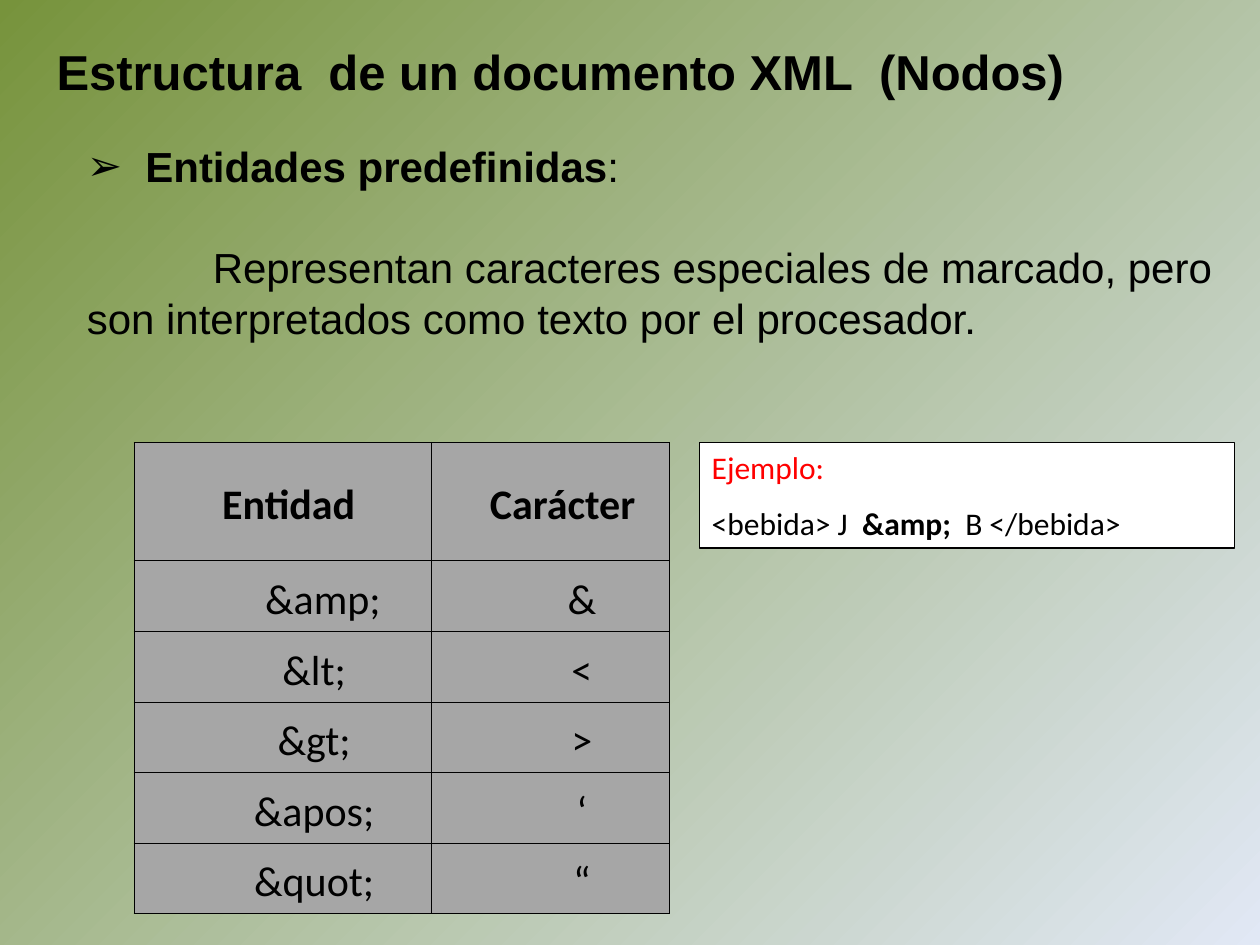
from lxml import etree
from pptx import Presentation
from pptx.dml.color import RGBColor
from pptx.enum.shapes import MSO_SHAPE
from pptx.enum.text import MSO_ANCHOR, PP_ALIGN
from pptx.oxml.ns import qn
from pptx.util import Pt

RECTANGLE = MSO_SHAPE.RECTANGLE
TOP, MIDDLE = MSO_ANCHOR.TOP, MSO_ANCHOR.MIDDLE
LEFT, CENTER = PP_ALIGN.LEFT, PP_ALIGN.CENTER

COLORS = {"green": "77933C", "pale": "E1E8F5", "gray": "A6A6A6",
          "white": "FFFFFF", "black": "000000", "red": "FF0000"}
FORMATS = {
    "title": {"name": "Arial", "size": Pt(28), "bold": True},
    "heading": {"name": "Arial", "size": Pt(24), "bold": True},
    "body": {"name": "Arial", "size": Pt(24), "bold": False},
    "header": {"name": "Calibri", "size": Pt(24), "bold": True},
    "cell": {"name": "Calibri", "size": Pt(24), "bold": False},
    "code": {"name": "Calibri", "size": Pt(18), "bold": False},
    "entity": {"name": "Calibri", "size": Pt(18), "bold": True},
}


def rgb(name):
    return RGBColor.from_string(COLORS[name])


def add_span(para, text, style, color="black"):
    span = para.add_run()
    span.text = text
    for attribute, value in FORMATS[style].items():
        setattr(span.font, attribute, value)
    span.font.color.rgb = rgb(color)


deck = Presentation()
deck.slide_width, deck.slide_height = Pt(720), Pt(540)
page = deck.slides.add_slide(deck.slide_layouts[6])

background = page.background.fill
background.gradient()
background.gradient_angle = 315
for stop, color in zip(background.gradient_stops, ("green", "pale")):
    stop.color.rgb = rgb(color)

title = page.shapes.add_textbox(Pt(25.2), Pt(20.2), Pt(608.4), Pt(41)).text_frame
title.word_wrap = True
add_span(title.paragraphs[0], "Estructura  de un documento XML  (Nodos)", "title")

body = page.shapes.add_textbox(Pt(42.5), Pt(77), Pt(677.5), Pt(151.2)).text_frame
body.word_wrap = True
heading = body.paragraphs[0]
properties = heading._p.get_or_add_pPr()
properties.set("marL", str(Pt(33.5)))
properties.set("indent", str(-Pt(33.5)))
etree.SubElement(properties, qn("a:buFont"), typeface="Arial")
etree.SubElement(properties, qn("a:buChar"), char="➢")
add_span(heading, "Entidades predefinidas", "heading")
add_span(heading, ":", "body")

description = body.add_paragraph()
description._p.get_or_add_pPr().set("indent", str(Pt(72)))
description.space_before = Pt(28.8)
add_span(description, "Representan caracteres especiales de marcado, pero "
         "son interpretados como texto por el procesador.", "body")
for para in body.paragraphs:
    para.line_spacing = Pt(28.8)

ROWS = [("Entidad", "Carácter"), ("&amp;", "&"), ("&lt;", "<"),
        ("&gt;", ">"), ("&apos;", "‘"), ("&quot;", "“")]
INDENTS = [(7, 14), (46, 36)] + [(36, 36)] * 4
CELL_FORMAT = {"vertical_anchor": MIDDLE, "margin_left": Pt(5), "margin_right": Pt(5),
               "margin_top": Pt(3.6), "margin_bottom": Pt(3.6)}

table = page.shapes.add_table(len(ROWS), 2, Pt(76.5), Pt(252.7), Pt(306), Pt(234.7)).table
table.first_row = table.horz_banding = False
for column, width in zip(table.columns, (170, 136)):
    column.width = Pt(width)
for row, height in zip(table.rows, [67.7] + [33.4] * 5):
    row.height = Pt(height)

for row_index, (texts, indents) in enumerate(zip(ROWS, INDENTS)):
    for column_index, (text, indent) in enumerate(zip(texts, indents)):
        cell = table.cell(row_index, column_index)
        for attribute, value in CELL_FORMAT.items():
            setattr(cell, attribute, value)
        cell.fill.solid()
        cell.fill.fore_color.rgb = rgb("gray")
        para = cell.text_frame.paragraphs[0]
        para.alignment = CENTER
        para.line_spacing = 1.15
        para._p.get_or_add_pPr().set("marL", str(Pt(indent)))
        add_span(para, text, "cell" if row_index else "header")
        for position, side in enumerate(("a:lnL", "a:lnR", "a:lnT", "a:lnB")):
            border = etree.Element(qn(side), w=str(Pt(0.45)))
            paint = etree.SubElement(border, qn("a:solidFill"))
            etree.SubElement(paint, qn("a:srgbClr"), val=COLORS["black"])
            cell._tc.get_or_add_tcPr().insert(position, border)

example = page.shapes.add_shape(RECTANGLE, Pt(399.6), Pt(252.7), Pt(306), Pt(60.5))
example.shadow.inherit = False
example.fill.solid()
example.fill.fore_color.rgb = rgb("white")
example.line.color.rgb = rgb("black")
example.line.width = Pt(0.75)
frame = example.text_frame
frame.word_wrap = True
frame.vertical_anchor = TOP
label, code = frame.paragraphs[0], frame.add_paragraph()
label.alignment = code.alignment = LEFT
label.space_after = Pt(10)
add_span(label, "Ejemplo:", "code", "red")
for text, style in (("<bebida> J  ", "code"), ("&amp;", "entity"), ("  B </bebida>", "code")):
    add_span(code, text, style)

deck.save("out.pptx")
